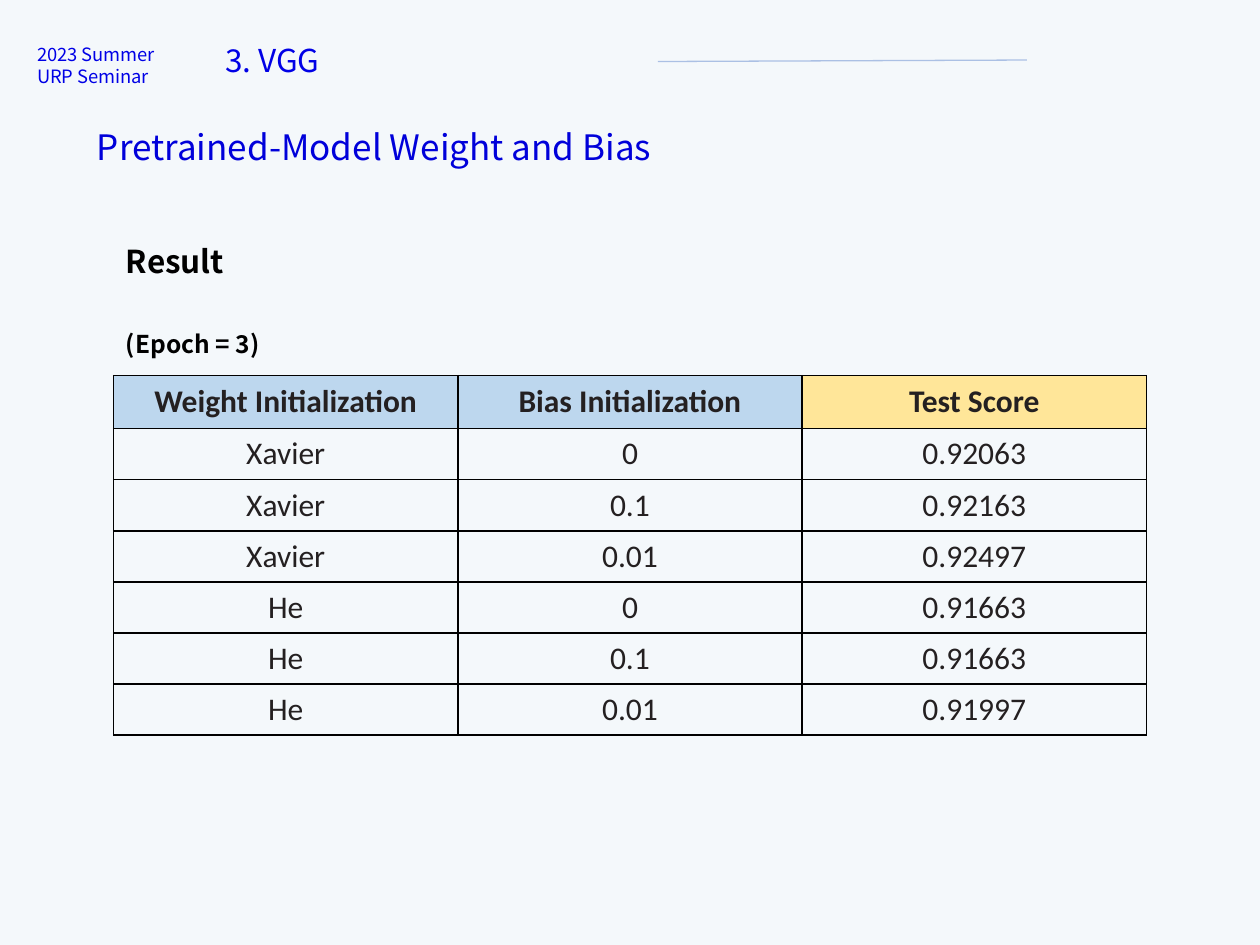
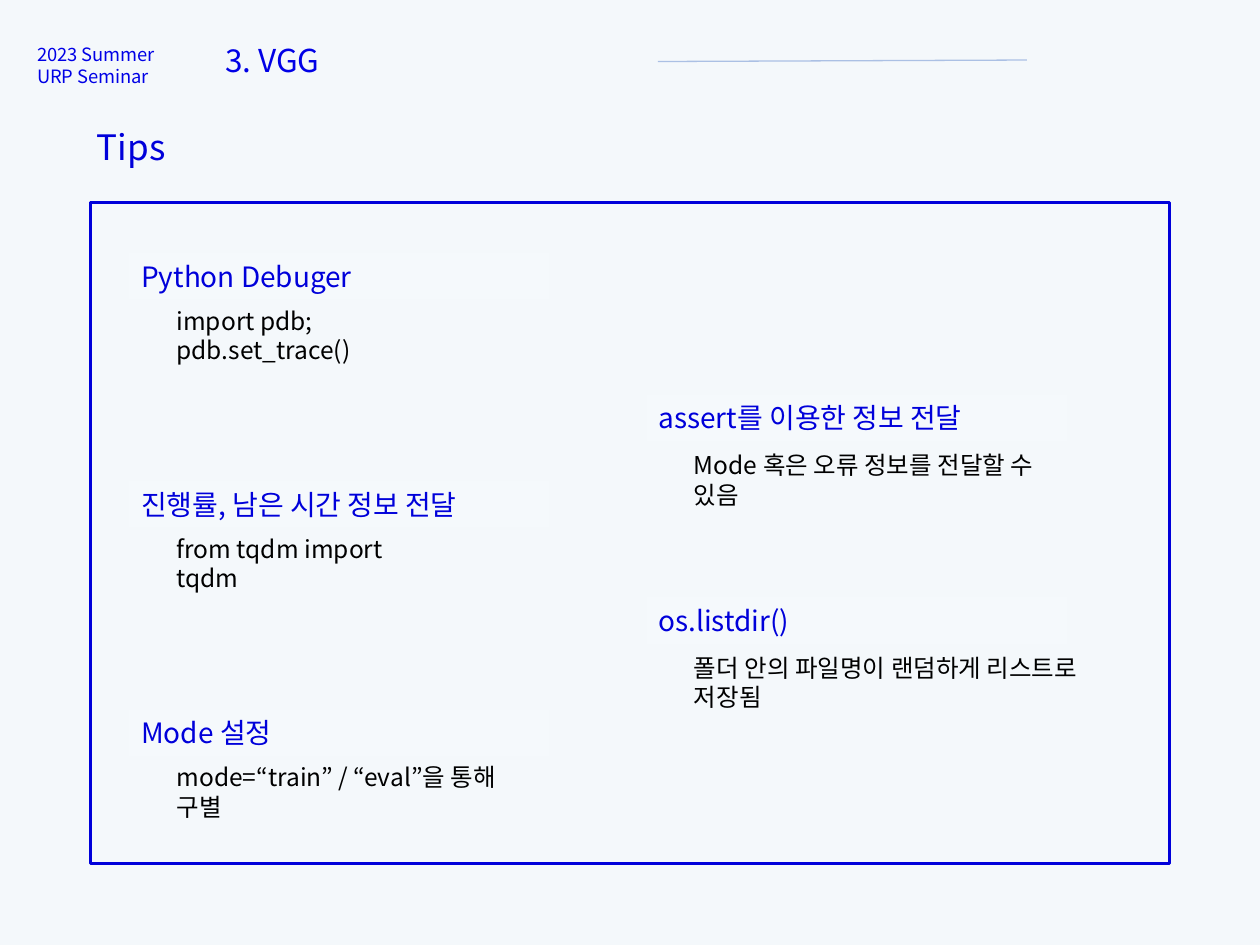
from dataclasses import dataclass

from lxml import etree
from pptx import Presentation
from pptx.dml.color import RGBColor
from pptx.enum.shapes import MSO_CONNECTOR, MSO_SHAPE
from pptx.enum.text import MSO_ANCHOR, MSO_AUTO_SIZE, PP_ALIGN
from pptx.oxml.ns import qn
from pptx.util import Cm, Pt

RECTANGLE = MSO_SHAPE.RECTANGLE
STRAIGHT = MSO_CONNECTOR.STRAIGHT
TOP, MIDDLE = MSO_ANCHOR.TOP, MSO_ANCHOR.MIDDLE
LEFT, CENTER, JUSTIFY = PP_ALIGN.LEFT, PP_ALIGN.CENTER, PP_ALIGN.JUSTIFY
NO_AUTO_SIZE = MSO_AUTO_SIZE.NONE

# Shared look
BODY_FONT, TABLE_FONT = "Noto Sans CJK KR", "Calibri"
BACKGROUND, BLACK = "F4F8FB", "000000"
HEADER_BLUE, TITLE_BLUE, RULE_BLUE = "0000E6", "0000DA", "ABC0E4"
LABEL_FILL, TABLE_TEXT = "F5F9FC", "242021"
HEAD_FILLS = ("BDD7EE", "BDD7EE", "FFE699")
TITLE_ONLY = 5


@dataclass
class TextStyle:
    size: float
    color: str
    font: str = BODY_FONT
    bold: bool = False
    align: PP_ALIGN = LEFT


@dataclass
class Box:
    left: float
    top: float
    width: float
    height: float

    def lengths(self) -> tuple:
        return Cm(self.left), Cm(self.top), Cm(self.width), Cm(self.height)


@dataclass
class Tip:
    label: str
    detail: str
    detail_width: float


@dataclass
class TipColumn:
    left: float
    top: float
    step: float
    detail_drop: float
    tips: tuple


SECTION_STYLE = TextStyle(18, HEADER_BLUE)
SEMINAR_STYLE = TextStyle(10.5, HEADER_BLUE)
TITLE_STYLE = TextStyle(20, TITLE_BLUE)
RESULT_STYLE = TextStyle(18, BLACK, bold=True)
EPOCH_STYLE = TextStyle(14, BLACK, bold=True)
LABEL_STYLE = TextStyle(16, TITLE_BLUE, align=JUSTIFY)
DETAIL_STYLE = TextStyle(14, BLACK)
HEAD_STYLE = TextStyle(18, TABLE_TEXT, TABLE_FONT, True, CENTER)
CELL_STYLE = TextStyle(18, TABLE_TEXT, TABLE_FONT, False, CENTER)

# Content
SCORES = (
    ("Weight Initialization", "Bias Initialization", "Test Score"),
    ("Xavier", "0", "0.92063"),
    ("Xavier", "0.1", "0.92163"),
    ("Xavier", "0.01", "0.92497"),
    ("He", "0", "0.91663"),
    ("He", "0.1", "0.91663"),
    ("He", "0.01", "0.91997"),
)
TIP_COLUMNS = (
    TipColumn(2.6, 5.1, 4.6, 0.94, (
        Tip("Python Debuger", "import pdb; pdb.set_trace()", 6.7),
        Tip("진행률, 남은 시간 정보 전달", "from tqdm import tqdm", 5.85),
        Tip("Mode 설정", "mode=“train” / “eval”을 통해 구별", 7.77),
    )),
    TipColumn(13.03, 7.95, 4.09, 1.0, (
        Tip("assert를 이용한 정보 전달", "Mode 혹은 오류 정보를 전달할 수 있음", 8.08),
        Tip("os.listdir()", "폴더 안의 파일명이 랜덤하게 리스트로 저장됨", 9.53),
    )),
)


def rgb(color: str) -> RGBColor:
    return RGBColor.from_string(color)


def format_paragraph(paragraph, style: TextStyle) -> None:
    paragraph.alignment = style.align
    for run in paragraph.runs:
        run.font.size = Pt(style.size)
        run.font.bold = style.bold
        run.font.name = style.font
        run.font.color.rgb = rgb(style.color)
        properties = run.font._element
        etree.SubElement(properties, qn("a:ea")).set("typeface", style.font)


def fill_text(text_frame, text: str, style: TextStyle, anchor=TOP) -> None:
    text_frame.text = text
    text_frame.word_wrap = True
    text_frame.auto_size = NO_AUTO_SIZE
    text_frame.vertical_anchor = anchor
    for paragraph in text_frame.paragraphs:
        format_paragraph(paragraph, style)


def add_text(slide, box: Box, text: str, style: TextStyle):
    shape = slide.shapes.add_textbox(*box.lengths())
    fill_text(shape.text_frame, text, style)
    return shape


def add_rectangle(slide, box: Box):
    shape = slide.shapes.add_shape(RECTANGLE, *box.lengths())
    shape.shadow.inherit = False
    return shape


def add_seminar_slide(presentation, title: str):
    """Add a slide with the seminar header and its title."""
    slide = presentation.slides.add_slide(presentation.slide_layouts[TITLE_ONLY])
    title_shape = slide.shapes.title
    title_box = Box(1.7, 2.41, 14.7, 1.12)
    title_shape.left, title_shape.top, title_shape.width, title_shape.height = title_box.lengths()
    fill_text(title_shape.text_frame, title, TITLE_STYLE)

    add_text(slide, Box(4.29, 0.71, 8.97, 1.02), "3. VGG", SECTION_STYLE)
    add_text(slide, Box(0.5, 0.74, 3.05, 1.14), "2023 Summer\nURP Seminar", SEMINAR_STYLE)

    rule = slide.shapes.add_connector(STRAIGHT, Cm(13.26), Cm(1.24), Cm(20.7), Cm(1.21))
    rule.line.color.rgb = rgb(RULE_BLUE)
    rule.line.width = Pt(0.75)
    etree.SubElement(rule._element.spPr, qn("a:effectLst"))
    return slide


def add_borders(cell, color: str, width: float) -> None:
    properties = cell._tc.get_or_add_tcPr()
    for position, side in enumerate(("lnL", "lnR", "lnT", "lnB")):
        border = etree.Element(qn(f"a:{side}"), w=str(Pt(width)))
        fill = etree.SubElement(border, qn("a:solidFill"))
        etree.SubElement(fill, qn("a:srgbClr"), val=color)
        properties.insert(position, border)


def add_score_table(slide) -> None:
    head_height, row_height, column_width = 1.07, 1.02, 6.94
    row_count, column_count = len(SCORES), len(SCORES[0])
    box = Box(2.29, 7.57, column_width * column_count,
              head_height + row_height * (row_count - 1))
    table = slide.shapes.add_table(row_count, column_count, *box.lengths()).table
    table.first_row = table.horz_banding = False
    for column in table.columns:
        column.width = Cm(column_width)
    for row_index, values in enumerate(SCORES):
        is_head = row_index == 0
        table.rows[row_index].height = Cm(head_height if is_head else row_height)
        for column_index, value in enumerate(values):
            cell = table.cell(row_index, column_index)
            cell.text = value
            cell.vertical_anchor = MIDDLE
            format_paragraph(cell.text_frame.paragraphs[0],
                             HEAD_STYLE if is_head else CELL_STYLE)
            if is_head:
                cell.fill.solid()
                cell.fill.fore_color.rgb = rgb(HEAD_FILLS[column_index])
            else:
                cell.fill.background()
            add_borders(cell, BLACK, 1)


def add_tip_column(slide, column: TipColumn) -> None:
    for index, tip in enumerate(column.tips):
        top = column.top + index * column.step
        label = add_rectangle(slide, Box(column.left, top, 8.48, 0.94))
        label.fill.solid()
        label.fill.fore_color.rgb = rgb(LABEL_FILL)
        label.line.fill.background()
        fill_text(label.text_frame, tip.label, LABEL_STYLE, MIDDLE)
        detail_box = Box(column.left + 0.71, top + column.detail_drop, tip.detail_width, 0.86)
        add_text(slide, detail_box, tip.detail, DETAIL_STYLE)


def build_result_slide(presentation) -> None:
    slide = add_seminar_slide(presentation, "Pretrained-Model Weight and Bias")
    add_score_table(slide)
    caption = add_text(slide, Box(2.29, 4.75, 3.6, 2.62), "Result", RESULT_STYLE)
    epoch = caption.text_frame.add_paragraph()
    epoch.text = "(Epoch = 3)"
    epoch.space_before = Pt(28)
    format_paragraph(epoch, EPOCH_STYLE)


def build_tips_slide(presentation) -> None:
    slide = add_seminar_slide(presentation, "Tips")
    frame = add_rectangle(slide, Box(1.83, 4.09, 21.74, 13.31))
    frame.fill.background()
    frame.line.color.rgb = rgb(TITLE_BLUE)
    frame.line.width = Pt(1.75)
    for column in TIP_COLUMNS:
        add_tip_column(slide, column)


def main() -> None:
    presentation = Presentation()
    presentation.slide_width, presentation.slide_height = Cm(25.4), Cm(19.05)
    background = presentation.slide_master.background.fill
    background.solid()
    background.fore_color.rgb = rgb(BACKGROUND)
    build_result_slide(presentation)
    build_tips_slide(presentation)
    presentation.save("out.pptx")


if __name__ == "__main__":
    main()
